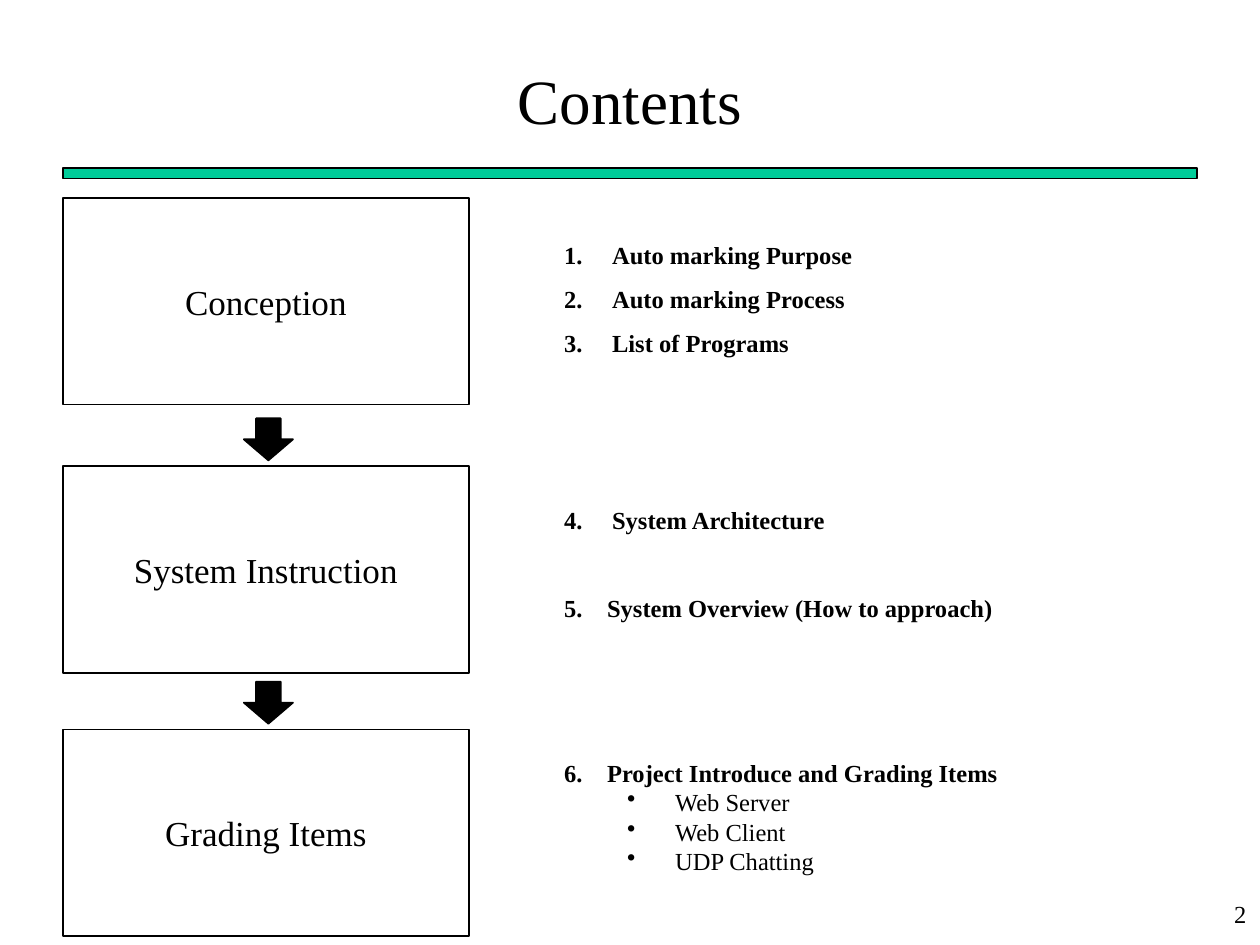
from lxml.etree import SubElement
from pptx import Presentation
from pptx.dml.color import RGBColor
from pptx.enum.shapes import MSO_SHAPE as Shape
from pptx.enum.text import MSO_ANCHOR as Anchor, MSO_AUTO_SIZE as AutoSize, PP_ALIGN as Align
from pptx.oxml.ns import qn
from pptx.util import Inches, Pt

BLACK = RGBColor(0x00, 0x00, 0x00)
GREEN = RGBColor(0x00, 0xCC, 0x99)
WHITE = RGBColor(0xFF, 0xFF, 0xFF)
FONT = "Times New Roman"

presentation = Presentation()
presentation.slide_width, presentation.slide_height = Inches(10), Inches(7.5)
slide = presentation.slides.add_slide(presentation.slide_layouts[6])
slide.background.fill.solid()
slide.background.fill.fore_color.rgb = WHITE
COLUMN = presentation.slide_width / 20
ROW = presentation.slide_height / 90


def add_box(left, top, width, height, kind=None, fill=None, line=1):
    place = [int(left * COLUMN), int(top * ROW), int(width * COLUMN), int(height * ROW)]
    if kind is None:
        box = slide.shapes.add_textbox(*place)
        box.text_frame.word_wrap = True
        return box
    box = slide.shapes.add_shape(kind, *place)
    box.shadow.inherit = False
    box.line.color.rgb = BLACK
    box.line.width = Pt(line)
    if fill is None:
        box.fill.background()
    else:
        box.fill.solid()
        box.fill.fore_color.rgb = fill
    return box


def write(paragraph, text, size, align=Align.LEFT, bold=False):
    paragraph.text = text
    paragraph.alignment = align
    paragraph.font.name = FONT
    paragraph.font.size = Pt(size)
    paragraph.font.bold = bold
    paragraph.font.color.rgb = BLACK


add_box(1, 16, 18, 1, Shape.RECTANGLE, GREEN, 0.75)
title = add_box(1, 4, 18, 11).text_frame
title.vertical_anchor = Anchor.MIDDLE
write(title.paragraphs[0], "Contents", 36, Align.CENTER)
page_number = add_box(15.82, 85, 4.16, 5).text_frame
write(page_number.paragraphs[0], "2", 14, Align.RIGHT)

sections = [
    ("Conception", 18.84, 2, 5, 1.5, [
        (1, 0.38, "Auto marking Purpose"),
        (2, 0.38, "Auto marking Process"),
        (3, 0.38, "List of Programs"),
    ]),
    ("System Instruction", 44.4, 1.7, 8.32, 1.5, [
        (4, 0.38, "System Architecture"),
        (5, 0.34, "System Overview (How to approach)"),
    ]),
    ("Grading Items", 69.48, 2.1, 10, 1, [
        (6, 0.34, "Project Introduce and Grading Items"),
        (None, 0.88, "Web Server"),
        (None, 0.88, "Web Client"),
        (None, 0.88, "UDP Chatting"),
    ]),
]

for index, (name, top, offset, width, spacing, items) in enumerate(sections):
    stage = add_box(1, top, 6.44, 19.68, Shape.RECTANGLE).text_frame
    stage.word_wrap = False
    stage.vertical_anchor = Anchor.MIDDLE
    write(stage.paragraphs[0], name, 20, Align.CENTER)
    if index:
        add_box(3.87, top - 4.56, 0.78, 4, Shape.DOWN_ARROW, BLACK)

    details = add_box(8.76, top + offset, width, 13.5).text_frame
    details.auto_size = AutoSize.SHAPE_TO_FIT_TEXT
    for position, (number, margin, text) in enumerate(items):
        paragraph = details.add_paragraph() if position else details.paragraphs[0]
        write(paragraph, text, 14, bold=number is not None)
        paragraph.line_spacing = spacing
        if number == 5:
            paragraph.space_before = Pt(25)
        properties = paragraph._p.get_or_add_pPr()
        properties.set("marL", str(Inches(margin)))
        properties.set("indent", str(-Inches(min(margin, 0.38))))
        if number is None:
            paragraph.level = 1
            bullet = SubElement(properties, qn("a:buChar"), char="•")
        else:
            bullet = SubElement(properties, qn("a:buAutoNum"), type="arabicPeriod", startAt=str(number - position))
            if number == 5:
                bullet.set("startAt", "5")
        default_run = properties.find(qn("a:defRPr"))
        default_run.addprevious(bullet)

presentation.save("out.pptx")
